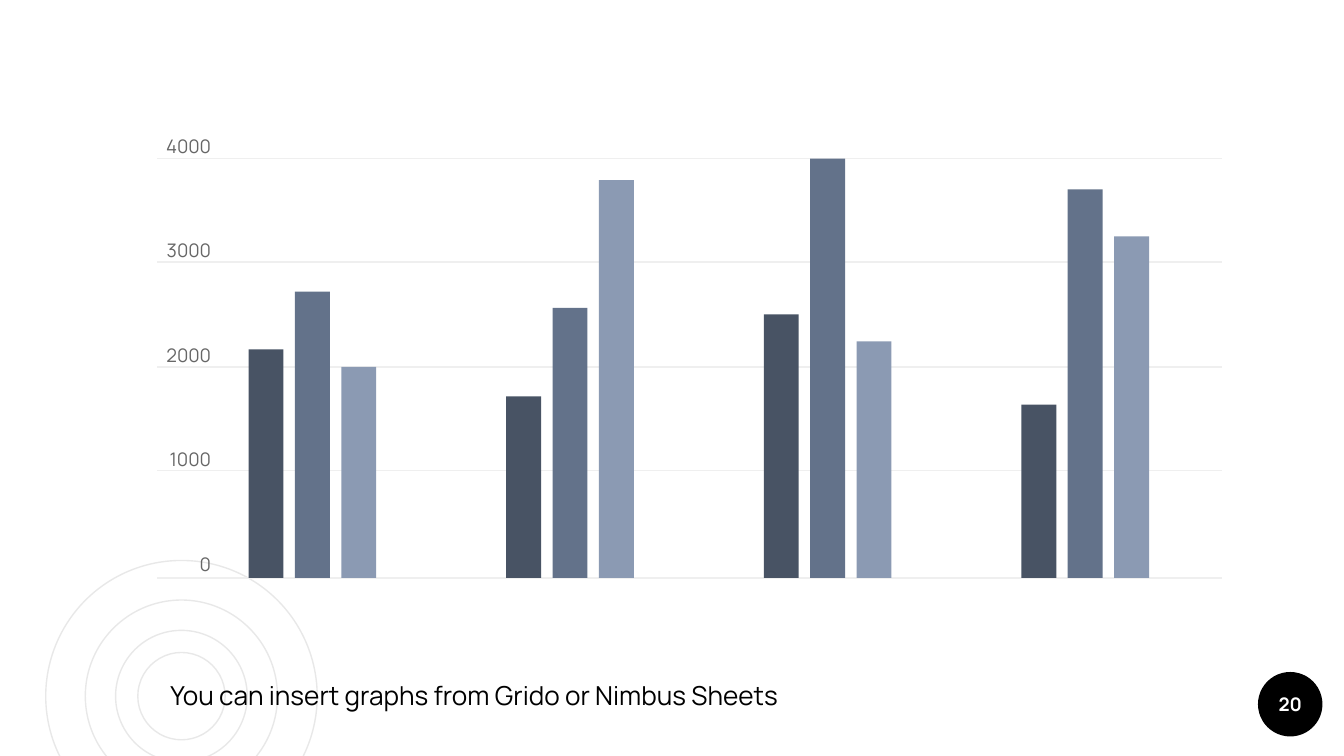
from pptx import Presentation
from pptx import util as u
from pptx.dml.color import RGBColor
from pptx.enum import shapes, text
from pptx.oxml.ns import qn
from lxml import etree

BLACK = RGBColor(0x00, 0x00, 0x00)
WHITE = RGBColor(0xFF, 0xFF, 0xFF)
GRAY = RGBColor(0x66, 0x66, 0x66)
RING = RGBColor(0xE8, 0xE8, 0xE8)
GRID = RGBColor(0xEF, 0xEF, 0xEF)
BAR_COLORS = [
    RGBColor(0x48, 0x53, 0x64),
    RGBColor(0x63, 0x72, 0x8A),
    RGBColor(0x8B, 0x9A, 0xB3),
]


def add_filled(kind, left, top, width, height, color):
    shape = slide.shapes.add_shape(
        kind, u.Inches(left), u.Inches(top), u.Inches(width), u.Inches(height))
    shape.shadow.inherit = False
    shape.fill.solid()
    shape.fill.fore_color.rgb = color
    shape.line.fill.background()


def add_text(words, left, top, width, height, size, color, anchor, align, inset, bold=False):
    box = slide.shapes.add_textbox(
        u.Inches(left), u.Inches(top), u.Inches(width), u.Inches(height))
    frame = box.text_frame
    frame.text = words
    frame.word_wrap = True
    frame.vertical_anchor = anchor
    frame.margin_left = frame.margin_right = u.Inches(inset)
    frame.margin_top = frame.margin_bottom = u.Inches(inset)
    for paragraph in frame.paragraphs:
        paragraph.alignment = align
        for run in paragraph.runs:
            run.font.name = "Manrope"
            run.font.size = u.Pt(size)
            run.font.bold = bold
            run.font.color.rgb = color
    return frame.paragraphs


presentation = Presentation()
presentation.slide_width = u.Inches(10)
presentation.slide_height = u.Inches(10 * 9 / 16)
slide = presentation.slides.add_slide(presentation.slide_layouts[6])

rings = slide.shapes.add_group_shape()
for diameter in [2.02, 0.98, 1.43, 0.65]:
    ring = rings.shapes.add_shape(
        shapes.MSO_SHAPE.OVAL,
        u.Inches(1.35 - diameter / 2), u.Inches(5.18 - diameter / 2),
        u.Inches(diameter), u.Inches(diameter))
    ring.shadow.inherit = False
    ring.fill.background()
    ring.line.color.rgb = RING
    ring.line.width = u.Pt(0.75)

add_filled(shapes.MSO_SHAPE.OVAL, 9.36, 5, 0.48, 0.48, BLACK)

caption = add_text("You can insert graphs from Grido or Nimbus Sheets", 1.17, 4.82, 5.04, 0.57,
                   14, BLACK, text.MSO_ANCHOR.BOTTOM, text.PP_ALIGN.LEFT, 0.1)
caption[0].space_before = u.Pt(3.6)

add_text("20", 9.36, 5, 0.48, 0.48,
         10, WHITE, text.MSO_ANCHOR.MIDDLE, text.PP_ALIGN.CENTER, 0.1, bold=True)

for y in [1.18, 1.95, 2.73, 3.5, 4.3]:
    gridline = slide.shapes.add_connector(
        shapes.MSO_CONNECTOR.STRAIGHT,
        u.Inches(1.17), u.Inches(y), u.Inches(9.09), u.Inches(y))
    gridline.line.color.rgb = GRID
    gridline.line.width = u.Pt(0.75)
    etree.SubElement(gridline._element.spPr, qn("a:effectLst"))

axis_labels = add_text("4000\n3000\n2000\n1000\n0", 1.17, 1, 0.4, 3.31,
                       10, GRAY, text.MSO_ANCHOR.TOP, text.PP_ALIGN.RIGHT, 0)
for paragraph in axis_labels[1:]:
    paragraph.space_before = u.Pt(44)
axis_labels[-1].space_after = u.Pt(44)

baseline = 4.3
group_step = 5.75 / 3
bar_step = 0.69 / 2
bar_groups = [
    [1.7, 2.13, 1.57],
    [1.35, 2.01, 2.96],
    [1.96, 3.12, 1.76],
    [1.29, 2.89, 2.54],
]
for group_index, heights in enumerate(bar_groups):
    group_left = 1.85 + group_index * group_step
    for bar_index, (height, color) in enumerate(zip(heights, BAR_COLORS)):
        add_filled(shapes.MSO_SHAPE.RECTANGLE, group_left + bar_index * bar_step,
                   baseline - height, 0.26, height, color)

presentation.save("out.pptx")
